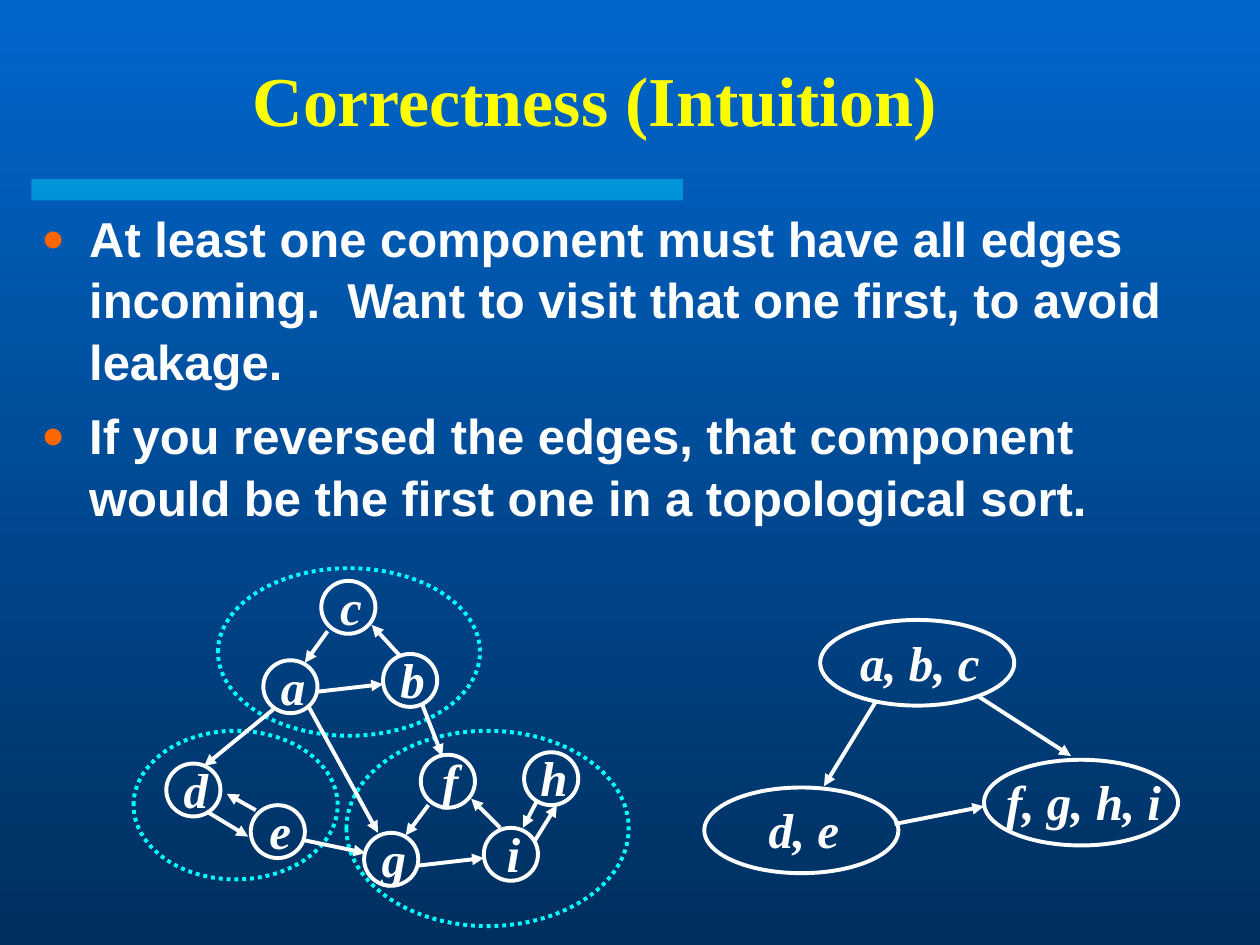
import pptx
import pptx.dml.color
import pptx.enum.dml
import pptx.enum.shapes
import pptx.enum.text
import pptx.oxml
import pptx.oxml.ns
import pptx.util

COLUMNS, ROWS = 100, 75
CELL = pptx.util.Inches(0.1)
WHITE, CYAN, YELLOW = "FFFFFF", "00FFFF", "FFFF00"
SERIF, SANS = "Times New Roman", "Arial"
OVAL = pptx.enum.shapes.MSO_SHAPE.OVAL
CENTER = pptx.enum.text.PP_ALIGN.CENTER
MIDDLE = pptx.enum.text.MSO_ANCHOR.MIDDLE

POINTS = [
    "At least one component must have all edges incoming.  "
    "Want to visit that one first, to avoid leakage.",
    "If you reversed the edges, that component would be the first one "
    "in a topological sort.",
]

# Each diagram: node size, nodes (label, column, row, label width),
# arrows (from column, row, to column, row) and dotted component rings.
VERTEX_GRAPH = {
    "node_size": (4.3, 4.2),
    "nodes": [
        ("c", 14.9, 1, 3.7), ("a", 10.3, 7.3, 3.9), ("b", 19.8, 6.8, 3.9),
        ("d", 2.6, 15.5, 3.9), ("e", 9.3, 18.8, 3.7),
        ("f", 22.8, 14.8, 3.3), ("g", 18.3, 21, 3.9),
        ("i", 27.8, 20.6, 3.1), ("h", 31, 14.6, 4.1),
    ],
    "arrows": [
        (15.4, 5, 13.6, 7.5), (14.6, 9.8, 19.8, 9.2), (21.1, 6.9, 18.9, 4.5),
        (5.8, 19.3, 9.1, 21.3), (9.7, 19.2, 7.4, 17.9),
        (11.1, 11.2, 5.6, 15.7), (23.4, 18.8, 21.6, 21.2),
        (22.6, 23.6, 27.8, 23), (29.1, 20.6, 26.8, 18.3),
        (13.6, 21.6, 18.4, 22.6), (22.9, 10.8, 24.5, 14.9),
        (32, 18.5, 30.9, 20.6), (31.8, 21.7, 33.6, 18.8),
        (13.9, 11, 19.4, 21),
    ],
    "rings": [
        (6.7, 0, 20.8, 13.3), (0, 12.9, 16.2, 11.8), (16.9, 12.9, 22.4, 15.5),
    ],
}
COMPONENT_GRAPH = {
    "node_size": (15.4, 6.8),
    "nodes": [
        ("a, b, c", 9.2, 0, 11.5), ("d, e", 0, 13.3, 7.6),
        ("f, g, h, i", 22.2, 11.1, 14.3),
    ],
    "arrows": [
        (13.6, 6.5, 9.5, 13.2), (15.1, 16.2, 22.2, 14.8),
        (21.8, 6.1, 29.1, 10.8),
    ],
    "rings": [],
}


def cells(*counts):
    return [round(count * CELL) for count in counts]


def color(value):
    return pptx.dml.color.RGBColor.from_string(value)


def add_span(para, text, size, face, hue, italic=False):
    span = para.add_run()
    span.text = text
    span.font.size = pptx.util.Pt(size)
    span.font.name = face
    span.font.bold = True
    span.font.italic = italic
    span.font.color.rgb = color(hue)


def add_xml(parent, markup):
    """Append one drawing element, given without its namespace."""
    namespace = pptx.oxml.ns.nsdecls("a")
    tag, rest = markup.split(" ", 1)
    parent.append(pptx.oxml.parse_xml(f"{tag} {namespace} {rest}"))


def paint_background(page):
    fill = page.background.fill
    fill.gradient()
    fill.gradient_angle = 270
    for stop, hue, position in zip(fill.gradient_stops, ("0066CC", "002F5E"), (0, 1)):
        stop.color.rgb = color(hue)
        stop.position = position


def add_bar(page, box):
    bar = page.shapes.add_shape(
        pptx.enum.shapes.MSO_SHAPE.RECTANGLE, *cells(*box))
    bar.shadow.inherit = False
    bar.line.fill.background()
    bar.fill.solid()
    bar.fill.fore_color.rgb = color("00CCFF")
    hue = bar.fill._xPr.find(".//" + pptx.oxml.ns.qn("a:srgbClr"))
    add_xml(hue, '<a:alpha val="50000"/>')


def set_title(page, box, text):
    title = page.shapes.title
    title.left, title.top, title.width, title.height = cells(*box)
    frame = title.text_frame
    frame.vertical_anchor = MIDDLE
    frame.auto_size = pptx.enum.text.MSO_AUTO_SIZE.NONE
    frame.paragraphs[0].alignment = CENTER
    add_span(frame.paragraphs[0], text, 40, SERIF, YELLOW)


def add_bullets(page, box, points):
    frame = page.shapes.add_textbox(*cells(*box)).text_frame
    frame.word_wrap = True
    for index, point in enumerate(points):
        para = frame.add_paragraph() if index else frame.paragraphs[0]
        para.line_spacing = 1.05
        if index:
            para.space_before = pptx.util.Pt(7)
        marks = para._p.get_or_add_pPr()
        indent = pptx.util.Inches(0.38)
        marks.set("marL", str(indent))
        marks.set("indent", str(-indent))
        add_xml(marks, '<a:buClr ><a:srgbClr val="FF6600"/></a:buClr>')
        add_xml(marks, '<a:buSzPct val="80000"/>')
        add_xml(marks, '<a:buFont typeface="Arial"/>')
        add_xml(marks, '<a:buChar char="●"/>')
        add_span(para, point, 28, SANS, WHITE)


def add_oval(group, box, hue):
    oval = group.shapes.add_shape(OVAL, *cells(*box))
    oval.shadow.inherit = False
    oval.fill.background()
    oval.line.color.rgb = color(hue)
    oval.line.width = pptx.util.Pt(2.25)
    return oval


def add_node(group, box, text, label_width):
    left, top, width, height = box
    label_height = 5.7
    add_oval(group, box, WHITE)
    label = group.shapes.add_textbox(*cells(
        left + (width - label_width) / 2 + 0.2,
        top + (height - label_height) / 2 - 0.1, label_width, label_height))
    frame = label.text_frame
    frame.word_wrap = False
    frame.vertical_anchor = MIDDLE
    frame.paragraphs[0].alignment = CENTER
    add_span(frame.paragraphs[0], text, 28, SERIF, WHITE, italic=True)


def add_arrow(group, ends):
    arrow = group.shapes.add_connector(
        pptx.enum.shapes.MSO_CONNECTOR.STRAIGHT, *cells(*ends))
    arrow.line.color.rgb = color(WHITE)
    arrow.line.width = pptx.util.Pt(2.25)
    add_xml(arrow.line._get_or_add_ln(), '<a:tailEnd type="triangle"/>')
    add_xml(arrow._element.spPr, "<a:effectLst />")


def add_graph(page, origin, graph):
    """Draw a grouped diagram whose parts are placed from its top left cell."""
    column, row = origin
    group = page.shapes.add_group_shape()
    for text, left, top, label_width in graph["nodes"]:
        add_node(group, (column + left, row + top, *graph["node_size"]),
                 text, label_width)
    for left, top, width, height in graph["rings"]:
        ring = add_oval(group, (column + left, row + top, width, height), CYAN)
        ring.line.dash_style = pptx.enum.dml.MSO_LINE.ROUND_DOT
    for start_x, start_y, end_x, end_y in graph["arrows"]:
        add_arrow(group, (column + start_x, row + start_y,
                          column + end_x, row + end_y))


def main():
    deck = pptx.Presentation()
    deck.slide_width, deck.slide_height = cells(COLUMNS, ROWS)
    page = deck.slides.add_slide(deck.slide_layouts.get_by_name("Title Only"))
    paint_background(page)
    add_bar(page, (2.5, 14.2, 51.7, 1.7))
    set_title(page, (2.9, 3.2, 88.6, 9.3), "Correctness (Intuition)")
    add_bullets(page, (2.3, 15.8, 95, 52.1), POINTS)
    add_graph(page, (10.6, 45.1), VERTEX_GRAPH)
    add_graph(page, (55.9, 49.2), COMPONENT_GRAPH)
    deck.save("out.pptx")


if __name__ == "__main__":
    main()
